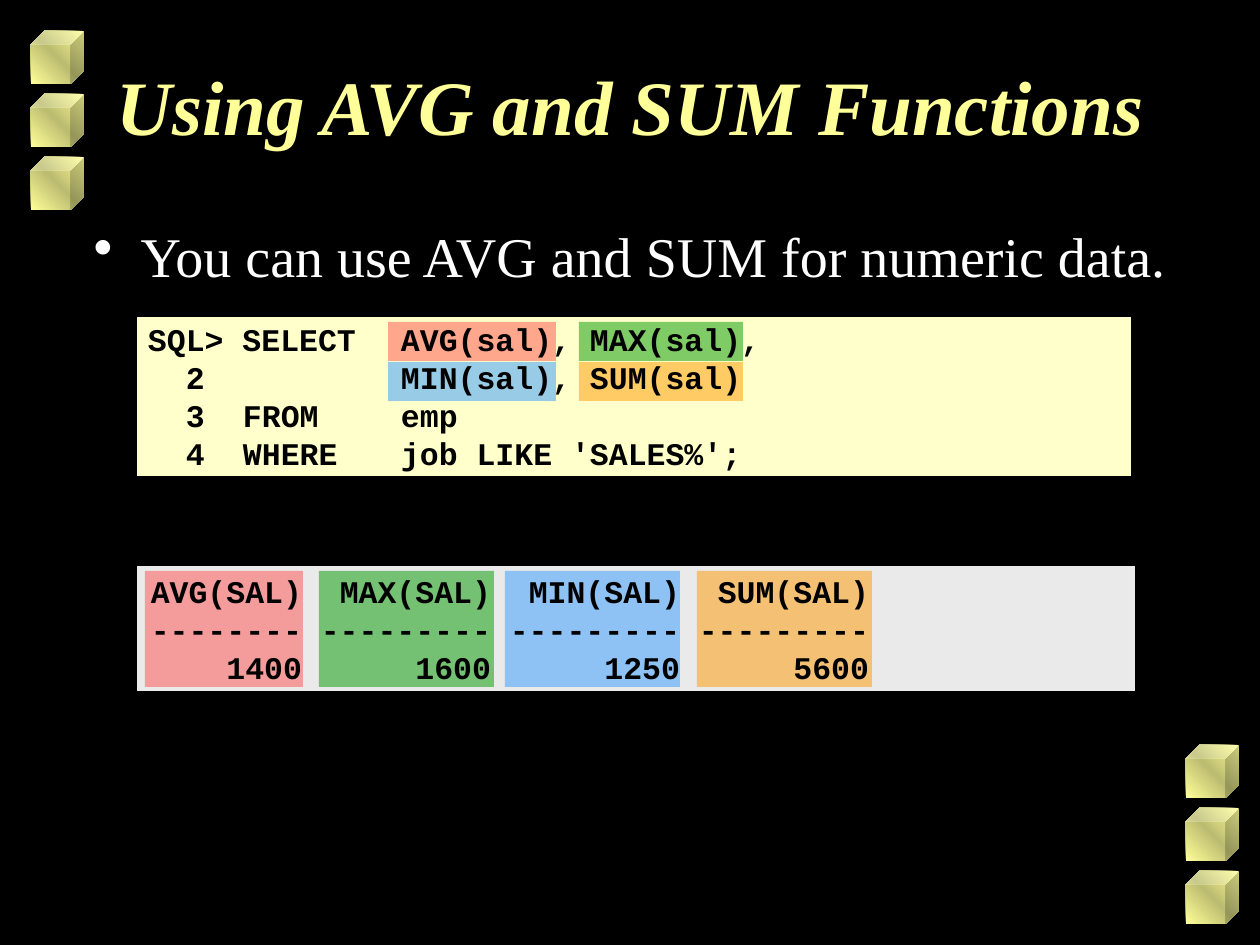
from dataclasses import dataclass
from typing import NamedTuple

from lxml.etree import SubElement
from pptx import Presentation
from pptx.dml.color import RGBColor
from pptx.enum.shapes import MSO_SHAPE
from pptx.enum.text import MSO_ANCHOR, PP_ALIGN
from pptx.oxml import parse_xml
from pptx.oxml.ns import nsdecls, qn
from pptx.util import Emu, Pt

SCALE = 914400 / 126


class Box(NamedTuple):
    x: int
    y: int
    w: int
    h: int


@dataclass
class Panel:
    box: Box
    fill: str


@dataclass
class Mark:
    fill: str
    boxes: tuple[Box, ...]


@dataclass
class Label:
    box: Box
    lines: list[str]
    font: dict
    color: str
    top: int = 6
    align: PP_ALIGN = PP_ALIGN.LEFT
    anchor: MSO_ANCHOR = MSO_ANCHOR.TOP
    tabs: tuple[int, ...] = ()
    stop: str = "l"
    bullet: str = ""


def px(n: int) -> Emu:
    return Emu(round(n * SCALE))


def place(box: Box) -> list[Emu]:
    return [px(n) for n in box]


def paint(part, color: str) -> None:
    part.solid()
    part.fore_color.rgb = RGBColor.from_string(color)


def draw_cube(shapes, box: Box) -> None:
    cube = shapes.add_shape(MSO_SHAPE.CUBE, *place(box))
    cube.shadow.inherit = False
    cube.line.fill.background()
    stops = "".join(
        f'<a:gs pos="{pos}000"><a:srgbClr val="{color}"/></a:gs>'
        for pos, color in ((0, "FFFF99"), (50, "BCBC71"), (100, "FFFF99"))
    )
    blend = parse_xml(
        f'<a:gradFill {nsdecls("a")} rotWithShape="1"><a:gsLst>{stops}</a:gsLst>'
        '<a:lin ang="18900000" scaled="1"/></a:gradFill>'
    )
    cube._element.spPr.find(qn("a:prstGeom")).addnext(blend)


def draw_rect(shapes, box: Box, fill: str):
    rect = shapes.add_shape(MSO_SHAPE.RECTANGLE, *place(box))
    rect.shadow.inherit = False
    paint(rect.fill, fill)
    rect.line.fill.background()
    return rect


def draw_panel(shapes, panel: Panel) -> None:
    rect = draw_rect(shapes, panel.box, panel.fill)
    paint(rect.line.fill, "000000")
    rect.line.width = Pt(2)


def draw_mark(shapes, mark: Mark) -> None:
    group = shapes.add_group_shape()
    for box in mark.boxes:
        rect = draw_rect(group.shapes, box, mark.fill)
        tint = rect._element.spPr.find(f"{qn('a:solidFill')}/{qn('a:srgbClr')}")
        SubElement(tint, qn("a:alpha"), val="50000")


def draw_label(shapes, label: Label) -> None:
    frame = shapes.add_textbox(*place(label.box)).text_frame
    form = {
        "word_wrap": True,
        "vertical_anchor": label.anchor,
        "margin_left": px(13),
        "margin_right": px(13),
        "margin_top": px(label.top),
        "margin_bottom": px(6),
    }
    for name, value in form.items():
        setattr(frame, name, value)
    for i, line in enumerate(label.lines):
        para = frame.add_paragraph() if i else frame.paragraphs[0]
        para.alignment = label.align
        props = para._p.get_or_add_pPr()
        if label.bullet:
            props.set("marL", str(px(47)))
            props.set("indent", str(px(-47)))
            SubElement(props, qn("a:buChar"), char=label.bullet)
        if label.tabs:
            tabs = SubElement(props, qn("a:tabLst"))
            for tab in label.tabs:
                SubElement(tabs, qn("a:tab"), pos=str(px(tab)), algn=label.stop)
        run = para.add_run()
        run.text = line
        for name, value in label.font.items():
            setattr(run.font, name, value)
        paint(run.font.fill, label.color)


TITLE = {"name": "Times New Roman", "size": Pt(44), "bold": True, "italic": True}
BODY = {"name": "Times New Roman", "size": Pt(32)}
CODE = {"name": "Courier New", "size": Pt(18), "bold": True}

CUBES = [Box(x, y + 63 * i, 53, 53) for x, y in ((31, 31), (1186, 745)) for i in range(3)]

PANELS = [
    Panel(Box(135, 564, 1002, 129), "EAEAEA"),
    Panel(Box(135, 315, 998, 163), "FFFFCC"),
]

MARKS = [
    Mark("FF5050", (Box(388, 322, 168, 39), Box(145, 571, 158, 116))),
    Mark("009900", (Box(319, 571, 175, 116), Box(579, 322, 164, 39))),
    Mark("3399FF", (Box(388, 362, 168, 39), Box(505, 571, 175, 116))),
    Mark("FF9900", (Box(579, 362, 164, 39), Box(697, 571, 175, 116))),
]

ROWS = [
    ("AVG(SAL)", "MAX(SAL)", "MIN(SAL)", "SUM(SAL)"),
    ("--------", "---------", "---------", "---------"),
    ("1400", "1600", "1250", "5600"),
]

LABELS = [
    Label(Box(95, 42, 1071, 157), ["Using AVG and SUM Functions"], TITLE,
          "FFFF99", top=16, align=PP_ALIGN.CENTER),
    Label(Box(137, 566, 998, 126), ["\t" + "\t".join(row) for row in ROWS], CODE,
          "000000", tabs=tuple(152 + 189 * i for i in range(4)), stop="r"),
    Label(Box(0, 209, 1260, 79), ["You can use AVG and SUM for numeric data."], BODY,
          "FFFFFF", top=12, align=PP_ALIGN.CENTER, bullet="•"),
    Label(Box(135, 312, 1002, 168), [
        "SQL> SELECT\tAVG(sal), MAX(sal),",
        "  2\t\tMIN(sal), SUM(sal)",
        "  3\tFROM\temp",
        "  4\tWHERE\tjob LIKE 'SALES%';",
    ], CODE, "000000", anchor=MSO_ANCHOR.MIDDLE, tabs=(95, 253)),
]


def main() -> None:
    deck = Presentation()
    deck.slide_width, deck.slide_height = px(1260), px(945)
    slide = deck.slides.add_slide(deck.slide_layouts[6])
    paint(slide.background.fill, "000000")
    for draw, items in (
        (draw_cube, CUBES),
        (draw_panel, PANELS),
        (draw_mark, MARKS),
        (draw_label, LABELS),
    ):
        for item in items:
            draw(slide.shapes, item)
    deck.save("out.pptx")


if __name__ == "__main__":
    main()
